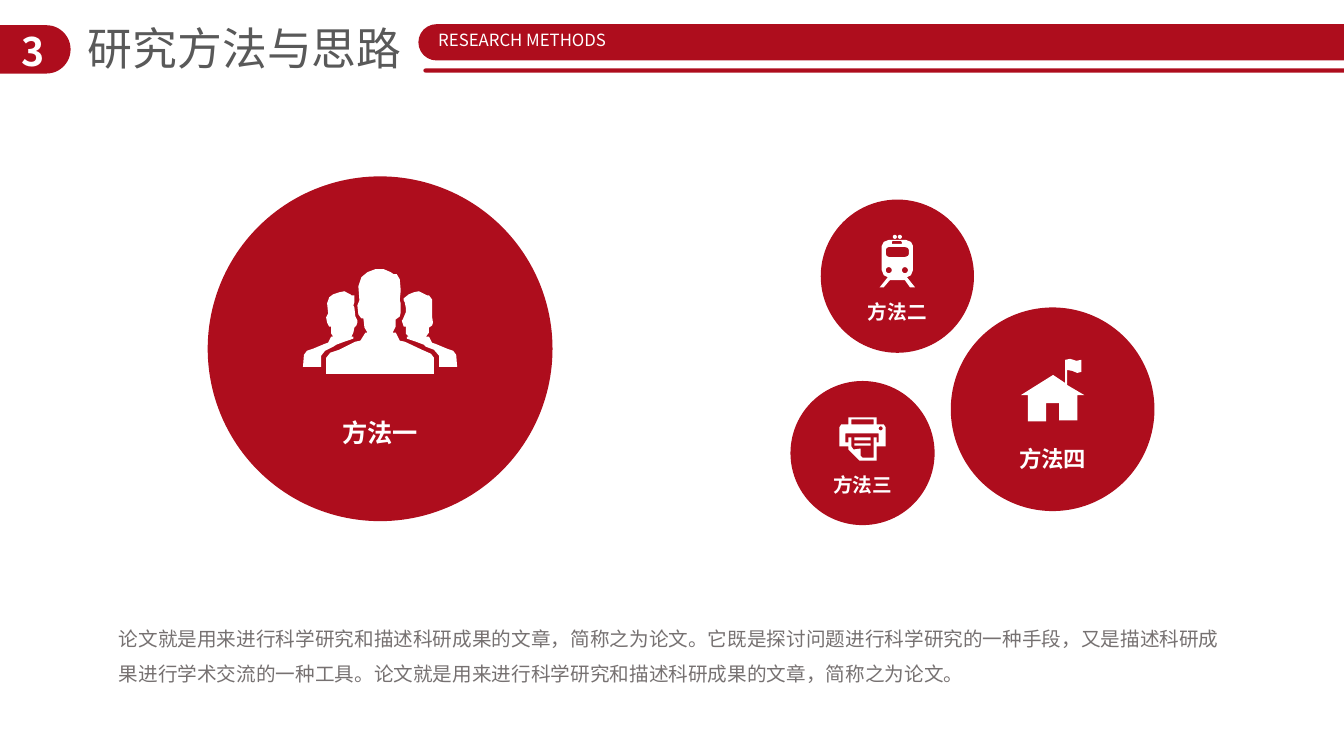
from math import cos, pi, sin

from lxml import etree
from pptx import Presentation
from pptx.dml.color import RGBColor
from pptx.enum import shapes, text
from pptx.oxml.ns import qn

PX = 9144  # 100 px to the inch
FONT = "Noto Sans CJK SC"
RED, WHITE, DARK, GREY = "AE0D1D", "FFFFFF", "595959", "767171"
KIND = shapes.MSO_SHAPE
LEFT, MID = text.PP_ALIGN.LEFT, text.PP_ALIGN.CENTER


def dots(line):
    """Turn "x,y x,y" into a list of points."""
    return [tuple(map(int, pair.split(","))) for pair in line.split()]


def ring(x, y, r, n=16):
    """Points of a small circle."""
    return [(x + r * cos(2 * pi * i / n), y + r * sin(2 * pi * i / n))
            for i in range(n)]


def rect(x, y, w, h):
    return [(x, y), (x + w, y), (x + w, y + h), (x, y + h)]


PEOPLE = [
    dots("50,38 51,35 51,28 48,28 47,27 41,24 36,25 30,27 26,30 24,36 25,46 "
         "23,50 24,55 26,59 28,59 28,66 30,69 28,69 25,75 22,76 10,81 4,83 "
         "1,87 0,99 18,99 18,88 22,83 30,79 33,77 41,74 50,71 50,69 48,69 "
         "50,65 51,60 53,58 54,55 54,53 52,49 51,40"),
    dots("152,87 149,83 143,81 131,76 128,75 125,69 122,69 125,65 125,60 "
         "128,58 129,55 128,49 128,32 125,28 123,28 121,27 115,24 110,25 "
         "105,27 100,31 100,33 101,35 102,40 102,45 99,52 98,53 100,59 "
         "102,59 102,66 105,69 103,69 103,71 112,74 120,77 122,79 130,82 "
         "135,88 135,99 153,99"),
    dots("96,12 97,23 96,33 97,36 97,45 96,49 92,52 92,59 89,65 92,65 96,73 "
         "101,74 118,82 127,86 130,90 130,106 23,106 23,90 27,85 36,82 52,74 "
         "57,73 62,65 64,65 61,60 60,51 58,51 55,47 54,38 56,33 55,19 58,10 "
         "64,5 72,2 80,2 87,5 90,7 93,7"),
]
TRAIN = [
    ring(15, 2, 2), ring(20, 2, 2),
    dots("27,42 31,40 33,35 33,11 31,7 26,5 9,5 4,7 2,11 2,35 4,40 8,42 "
         "0,52 4,52 10,45 25,45 30,52 35,52"),
    dots("12,7 13,6 21,6 22,7 22,9 12,9"),
    dots("6,19 6,15 7,13 9,12 25,12 28,13 29,15 29,19 28,21 25,22 9,22 7,21"),
    ring(9, 35, 3), ring(25, 35, 3),
]
HOUSE = [
    dots("46,29 46,14 51,15 56,17 60,16 60,4 55,5 49,3 44,4 44,27 32,19 0,39 "
         "7,39 7,65 25,65 25,47 38,47 38,64 56,64 56,39 63,39"),
]
PRINTER = [
    dots("44,7 37,7 37,0 9,0 9,7 2,7 0,10 0,29 9,29 9,32 20,43 37,43 37,29 "
         "46,29 46,10"),
    rect(12, 2, 22, 5),
    dots("39,25 37,25 37,20 34,20 34,40 23,40 21,38 21,31 14,32 12,29 12,20 "
         "9,20 9,25 6,25 6,16 39,16"),
    ring(41, 11, 2), rect(15, 20, 16, 3), rect(15, 26, 16, 2),
]


def color(code):
    return RGBColor.from_string(code)


def place(shape, box):
    shape.left, shape.top, shape.width, shape.height = (
        round(v * PX) for v in box)


def paint(shape, code):
    shape.shadow.inherit = False
    shape.fill.solid()
    shape.fill.fore_color.rgb = color(code)
    shape.line.fill.background()


def solid(slide, kind, box, code=RED):
    shape = slide.shapes.add_shape(kind, 0, 0, 0, 0)
    place(shape, box)
    paint(shape, code)
    return shape


def pill(slide, box):
    solid(slide, KIND.ROUNDED_RECTANGLE, box).adjustments[0] = 0.5


def write(shape, words, size, code, bold=False, align=LEFT, wrap=False,
          space=None):
    frame = shape.text_frame
    frame.text = words
    frame.word_wrap = wrap
    frame.auto_size = text.MSO_AUTO_SIZE.NONE
    frame.vertical_anchor = text.MSO_ANCHOR.TOP
    frame.margin_left = frame.margin_right = 10 * PX
    frame.margin_top = frame.margin_bottom = 5 * PX
    para = frame.paragraphs[0]
    para.alignment = align
    if space:
        para.line_spacing = space
    font = para.font
    font.name, font.size, font.bold = FONT, size * 12700, bold
    font.color.rgb = color(code)
    props = para._p.find(".//" + qn("a:defRPr"))
    etree.SubElement(props, qn("a:ea")).set("typeface", FONT)


def label(slide, box, words, size, code, **style):
    shape = slide.shapes.add_textbox(0, 0, 0, 0)
    place(shape, box)
    write(shape, words, size, code, **style)


def draw(slide, x, y, icon):
    """Draw an icon's outlines as one white shape; inner ones are holes."""
    pen = None
    for line in icon:
        (a, b), *rest = [(px * PX, py * PX) for px, py in line]
        if pen is None:
            pen = slide.shapes.build_freeform(a, b)
        else:
            pen.move_to(a, b)
        pen.add_line_segments(rest, close=True)
    paint(pen.convert_to_shape(round(x * PX), round(y * PX)), WHITE)


def bubble(slide, box, words, size, drop, icon, rise):
    """Circle with a centred icon and name, rise and drop below its top."""
    x, y, d = box
    solid(slide, KIND.OVAL, (x, y, d, d))
    wide = max(px for line in icon for px, _ in line)
    draw(slide, x + (d - wide) / 2, y + rise, icon)
    w, h = len(words) * size / 0.72 + 20, size / 0.6 + 10
    label(slide, (x + (d - w) / 2, y + drop, w, h), words, size, WHITE,
          bold=True, align=MID)


def header(slide, x, y):
    pill(slide, (x - 28, y + 1, 98, 48))
    label(slide, (x + 7, y - 2, 51, 57), "3", 28, WHITE, bold=True,
          align=MID, wrap=True)
    title = slide.shapes.title
    place(title, (x + 77, y - 8, 334, 64))
    write(title, "研究方法与思路", 32, DARK)
    pill(slide, (x + 415, y, 974, 36))
    pill(slide, (x + 420, y + 44, 1103, 4))
    label(slide, (x + 420, y + 1, 196, 30), "RESEARCH METHODS", 12, WHITE,
          align=MID)


def main():
    deck = Presentation()
    deck.slide_width, deck.slide_height = 1333 * PX, 750 * PX
    slide = deck.slides.add_slide(deck.slide_layouts[5])
    header(slide, 0, 24)
    for item in (
        ((206, 175, 342), "方法一", 18, 234, PEOPLE, 90),
        ((814, 198, 152), "方法二", 14, 95, TRAIN, 35),
        ((943, 305, 202), "方法四", 16, 132, HOUSE, 48),
        ((784, 378, 143), "方法三", 14, 86, PRINTER, 36),
    ):
        bubble(slide, *item)
    label(slide, (108, 605, 1117, 81),
          "论文就是用来进行科学研究和描述科研成果的文章，简称之为论文。"
          "它既是探讨问题进行科学研究的一种手段，又是描述科研成果进行学术交流的一种工具。"
          "论文就是用来进行科学研究和描述科研成果的文章，简称之为论文。",
          14, GREY, wrap=True, space=1.5)
    deck.save("out.pptx")


if __name__ == "__main__":
    main()
